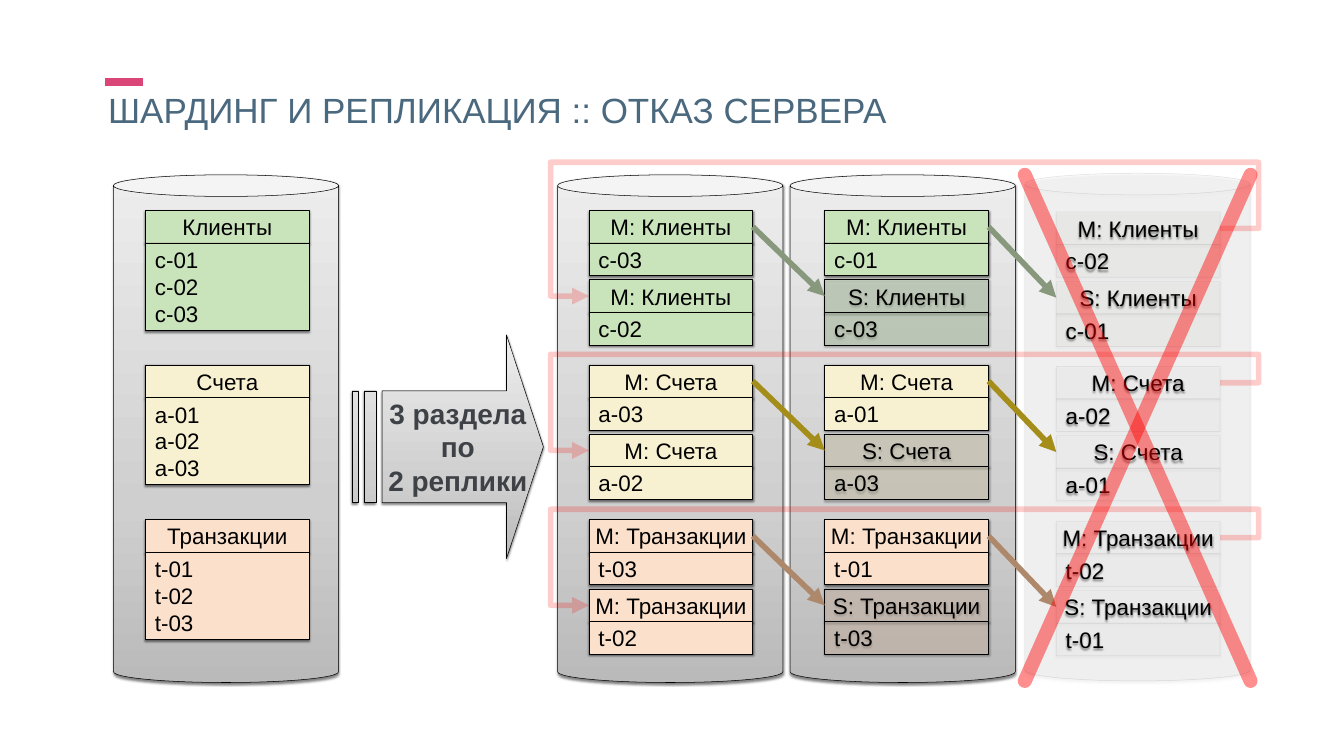
"""Build the slide on sharding and replication when one server fails."""
from pptx import Presentation
from pptx.dml.color import RGBColor
from pptx.enum.shapes import MSO_CONNECTOR as LINK, MSO_SHAPE as SHAPE
from pptx.enum.text import MSO_ANCHOR as ANCHOR, PP_ALIGN as ALIGN
from pptx.oxml import parse_xml
from pptx.oxml.ns import nsdecls, qn
from pptx.oxml.xmlchemy import OxmlElement
from pptx.util import Pt

PX = 9525
FONT = "Arial"
BLACK = RGBColor(0x00, 0x00, 0x00)
WHITE = RGBColor(0xFF, 0xFF, 0xFF)
RED = RGBColor(0xFF, 0x00, 0x00)
PINK = RGBColor(0xDA, 0x46, 0x78)
SLATE = RGBColor(0x4A, 0x68, 0x7E)
CHARCOAL = RGBColor(0x3E, 0x42, 0x47)
PALE_GREY = RGBColor(0xD8, 0xD8, 0xD8)
GREEN = RGBColor(0xC9, 0xE3, 0xBB)
YELLOW = RGBColor(0xF8, 0xF1, 0xD1)
PEACH = RGBColor(0xFB, 0xE0, 0xCB)
DARK_GREEN = RGBColor(0x87, 0x98, 0x7C)
DARK_YELLOW = RGBColor(0xA5, 0x8D, 0x1A)
DARK_PEACH = RGBColor(0xAE, 0x88, 0x6B)
STEEL = ((0, "BABABA"), (35, "CFCFCF"), (100, "EDEDED"))

deck = Presentation()
deck.slide_width, deck.slide_height = 2560 * PX, 1440 * PX
slide = deck.slides.add_slide(deck.slide_layouts[5])


def add_raised(preset, box, color=None, line_width=0.75, fill_alpha=100, line_alpha=100):
    shape = slide.shapes.add_shape(preset, *(n * PX for n in box))
    properties = shape._element.spPr
    if color is None:
        shape.fill.gradient()
        shape.fill.gradient_angle = 90
        stops = properties.find(".//" + qn("a:gsLst"))
        for stop in list(stops):
            stops.remove(stop)
        for place, shade in STEEL:
            stops.append(parse_xml(
                f'<a:gs {nsdecls("a")} pos="{place * 1000}"><a:srgbClr val="{shade}"/></a:gs>'))
    else:
        shape.fill.solid()
        shape.fill.fore_color.rgb = color
    shape.line.color.rgb = BLACK
    shape.line.width = Pt(line_width)
    for part, alpha in (("a:solidFill", fill_alpha), ("a:ln", line_alpha)):
        if alpha < 100:
            opacity = OxmlElement("a:alpha")
            opacity.set("val", str(alpha * 1000))
            properties.find(qn(part)).find(".//" + qn("a:srgbClr")).append(opacity)
    shape.shadow.inherit = False
    properties.find(qn("a:effectLst")).append(parse_xml(
        f'<a:outerShdw {nsdecls("a")} blurRad="{Pt(3)}" dist="{Pt(2)}" dir="5400000" rotWithShape="0">'
        '<a:srgbClr val="000000"><a:alpha val="50000"/></a:srgbClr></a:outerShdw>'))
    return shape


def add_link(kind, ends, color, width, alpha=100, arrow=True):
    link = slide.shapes.add_connector(kind, *(n * PX for n in ends))
    link.line.color.rgb = color
    link.line.width = Pt(width)
    properties = link._element.spPr
    if alpha < 100:
        opacity = OxmlElement("a:alpha")
        opacity.set("val", str(alpha * 1000))
        properties.find(".//" + qn("a:srgbClr")).append(opacity)
    if arrow:
        tail = OxmlElement("a:tailEnd")
        tail.set("type", "triangle")
        properties.find(qn("a:ln")).append(tail)
    properties.append(OxmlElement("a:effectLst"))
    return link


title = slide.shapes.title
title.left, title.top, title.width, title.height = (n * PX for n in (200, 178, 2117, 76))
heading = title.text_frame
heading.text = "ШАРДИНГ И РЕПЛИКАЦИЯ :: ОТКАЗ СЕРВЕРА"
heading.vertical_anchor = ANCHOR.TOP
heading.margin_left = heading.margin_right = heading.margin_top = heading.margin_bottom = 6 * PX
heading.paragraphs[0].alignment = ALIGN.LEFT
heading.paragraphs[0].line_spacing = 0.8
heading_font = heading.paragraphs[0].runs[0].font
heading_font.name, heading_font.size, heading_font.color.rgb = FONT, Pt(50), SLATE
add_link(LINK.STRAIGHT, (200, 156, 273, 156), PINK, 11, arrow=False)

for left in (216, 1062, 1505):
    server = add_raised(SHAPE.CAN, (left, 333, 429, 967))
    server.adjustments[0] = 0.096
failed_server = add_raised(SHAPE.CAN, (1952, 330, 429, 967), PALE_GREY, fill_alpha=10, line_alpha=10)
failed_server.adjustments[0] = 0.096

sections = [
    ("Клиенты", "c", 401, GREEN, GREEN, DARK_GREEN, -0.976),
    ("Счета", "a", 695, YELLOW, WHITE, DARK_YELLOW, -0.419),
    ("Транзакции", "t", 990, PEACH, WHITE, DARK_PEACH, -0.419),
]
replicas = [
    (1122, (("M", "03"), ("M", "02"))),
    (1571, (("M", "01"), ("S", "03"))),
    (2012, (("M", "02"), ("S", "01"))),
]
heads = {}
for name, key, top, color, failed_color, _, _ in sections:
    tables = [((name, 0, 0), 277, top, name, ["01", "02", "03"], color, 100, 100)]
    for number, (left, shards) in enumerate(replicas, 1):
        failed = number == 3
        for slot, (role, record) in enumerate(shards):
            shard_top = top + 132 * slot + (3 if failed else 0)
            fill_alpha = 5 if failed else 40 if role == "S" else 100
            tables.append(((name, number, slot), left, shard_top, f"{role}: {name}", [record],
                           failed_color if failed else color, fill_alpha, 5 if failed else 100))
    for place, left, table_top, label, records, tint, fill_alpha, line_alpha in tables:
        body_height = 166 if len(records) == 3 else 62
        body_text = "\n".join(f"{key}-{record}" for record in records)
        for cell_top, height, text, align, inset in (
                (table_top, 62, label, ALIGN.CENTER, 6),
                (table_top + 62, body_height, body_text, ALIGN.LEFT, 18)):
            cell = add_raised(SHAPE.RECTANGLE, (left, cell_top, 312, height), tint, 1,
                              fill_alpha, line_alpha)
            frame = cell.text_frame
            frame.text = text
            frame.vertical_anchor = ANCHOR.MIDDLE
            frame.margin_left = inset * PX
            frame.margin_right = frame.margin_top = frame.margin_bottom = 6 * PX
            for paragraph in frame.paragraphs:
                paragraph.alignment = align
                font = paragraph.runs[0].font
                font.name, font.size, font.color.rgb = FONT, Pt(32), BLACK
            if cell_top == table_top:
                heads[place] = cell

split_arrow = add_raised(SHAPE.STRIPED_RIGHT_ARROW, (671, 638, 364, 426))
split_arrow.adjustments[0] = 0.5
split_arrow.adjustments[1] = 0.193
split_note = slide.shapes.add_textbox(*(n * PX for n in (710, 749, 324, 204))).text_frame
split_note.word_wrap = True
split_note.vertical_anchor = ANCHOR.MIDDLE
split_note.margin_left = split_note.margin_right = 6 * PX
split_note.margin_top = split_note.margin_bottom = 6 * PX
split_note.text = "3 раздела\vпо\v2 реплики"
split_note.paragraphs[0].alignment = ALIGN.CENTER
for run in split_note.paragraphs[0].runs:
    run.font.name, run.font.size, run.font.bold = FONT, Pt(40), True
    run.font.color.rgb = CHARCOAL

for name, _, _, _, _, dark, rise in sections:
    for number in (1, 2):
        replication = add_link(LINK.STRAIGHT, (0, 0, 1, 1), dark, 8)
        replication.begin_connect(heads[name, number, 0], 3)
        replication.end_connect(heads[name, number + 1, 1], 1)
    recovery = add_link(LINK.ELBOW, (2324, 436, 1122, 564), RED, 8, alpha=20)
    recovery.begin_connect(heads[name, 3, 0], 3)
    recovery.end_connect(heads[name, 1, 1], 1)
    route = recovery._element.spPr.find(qn("a:prstGeom"))
    route.set("prst", "bentConnector5")
    bends = route.get_or_add_avLst()
    for index, bend in enumerate((-0.061, rise, 1.061), 1):
        guide = OxmlElement("a:gd")
        guide.set("name", f"adj{index}")
        guide.set("fmla", f"val {round(bend * 100000)}")
        bends.append(guide)

for start, end in ((1952, 2382), (2382, 1952)):
    cross = add_link(LINK.STRAIGHT, (start, 333, end, 1297), RED, 20, alpha=44, arrow=False)
    cap = cross._element.spPr.find(qn("a:ln"))
    cap.set("cap", "rnd")

deck.save("out.pptx")
